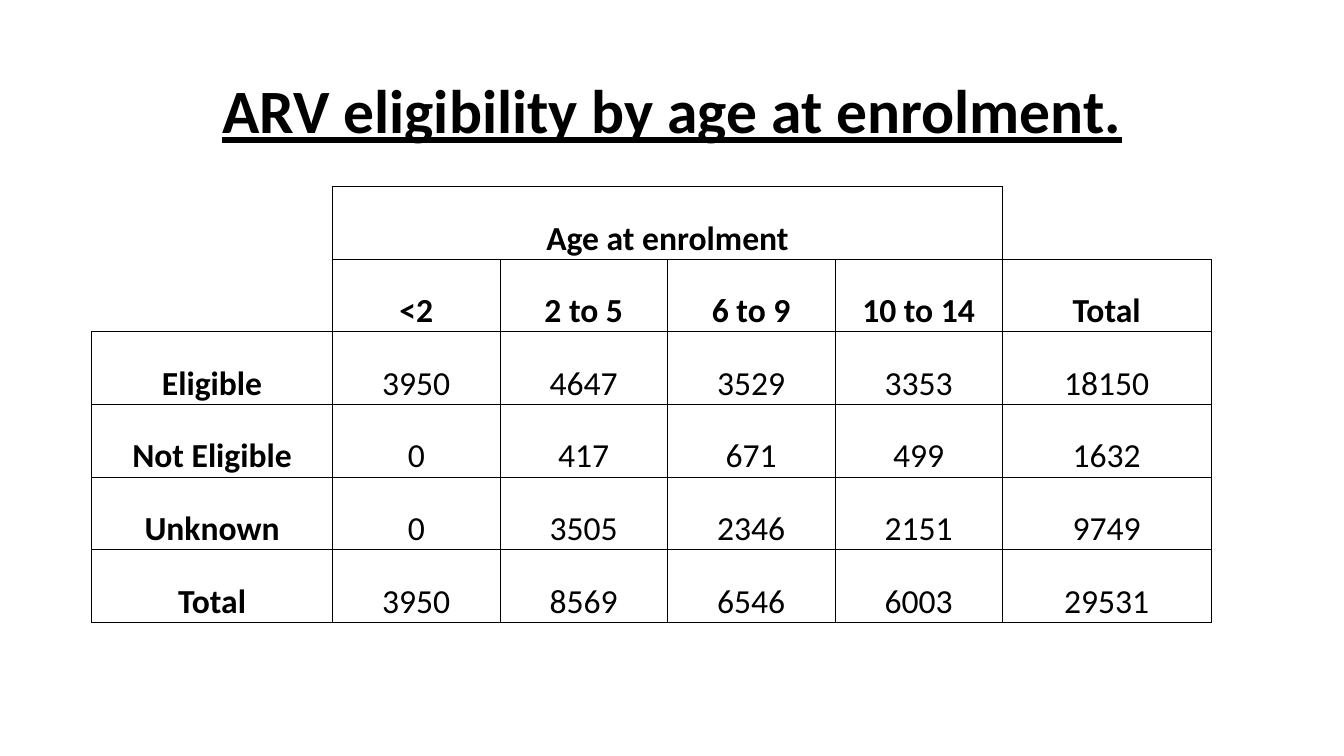
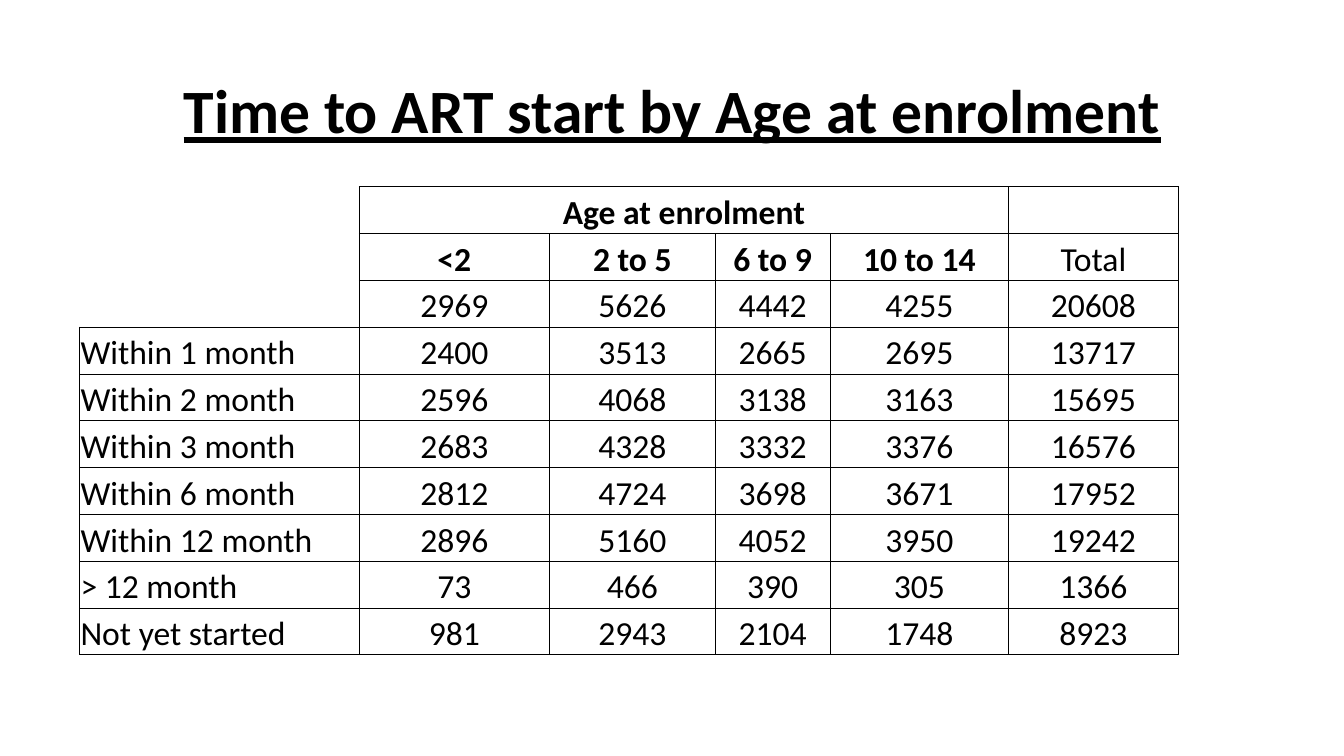
"""Build two slides with tables of treatment eligibility and start by age at enrolment."""
from lxml import etree
from pptx import Presentation
from pptx import util as u
from pptx.dml.color import RGBColor
from pptx.enum import text
from pptx.oxml import ns

BLACK = "000000"
FONT = "Calibri"
NO_STYLE = "{2D5ABB26-0587-4C30-8999-92F81FD0307C}"
EDGES = {"lnL": (0, -1), "lnR": (0, 1), "lnT": (-1, 0), "lnB": (1, 0)}
CENTER, LEFT = text.PP_ALIGN.CENTER, text.PP_ALIGN.LEFT
AGES = ["<2", "2 to 5", "6 to 9", "10 to 14"]
HEADER = [["", "Age at enrolment", "", "", "", ""], ["", *AGES, "Total"]]


def write(frame, content, size=24, bold=False, underline=False, align=CENTER, spacing=1.0):
    paragraph = frame.paragraphs[0]
    paragraph.alignment = align
    paragraph.line_spacing = spacing
    paragraph.font.size = u.Pt(size)
    if content:
        run = paragraph.add_run()
        run.text = content
        run.font.name = FONT
        run.font.size = u.Pt(size)
        run.font.bold = bold
        run.font.underline = underline
        run.font.color.rgb = RGBColor.from_string(BLACK)


def add_border(cell, edge, visible):
    line = etree.SubElement(cell._tc.get_or_add_tcPr(), ns.qn(f"a:{edge}"), w=str(u.Pt(0.5)))
    if visible:
        fill = etree.SubElement(line, ns.qn("a:solidFill"))
        etree.SubElement(fill, ns.qn("a:srgbClr"), val=BLACK)
    else:
        etree.SubElement(line, ns.qn("a:noFill"))


tables = [
    {
        "title": "ARV eligibility by age at enrolment.",
        "left": 2.31,
        "widths": [6.07, 4.22, 4.22, 4.22, 4.22, 5.26],
        "row_height": 1.83,
        "bold_labels": True,
        "label_align": CENTER,
        "open_cells": {(0, 0), (1, 0), (0, 5)},
        "rows": [
            ["Eligible", 3950, 4647, 3529, 3353, 18150],
            ["Not Eligible", 0, 417, 671, 499, 1632],
            ["Unknown", 0, 3505, 2346, 2151, 9749],
            ["Total", 3950, 8569, 6546, 6003, 29531],
        ],
    },
    {
        "title": "Time to ART start by Age at enrolment",
        "left": 2.01,
        "widths": [7.04, 4.8, 4.17, 2.9, 4.5, 4.27],
        "row_height": 1.18,
        "bold_labels": False,
        "label_align": LEFT,
        "open_cells": {(0, 0), (1, 0), (2, 0)},
        "rows": [
            ["", 2969, 5626, 4442, 4255, 20608],
            ["Within 1 month", 2400, 3513, 2665, 2695, 13717],
            ["Within 2 month", 2596, 4068, 3138, 3163, 15695],
            ["Within 3 month", 2683, 4328, 3332, 3376, 16576],
            ["Within 6 month", 2812, 4724, 3698, 3671, 17952],
            ["Within 12 month", 2896, 5160, 4052, 3950, 19242],
            ["> 12 month", 73, 466, 390, 305, 1366],
            ["Not yet started", 981, 2943, 2104, 1748, 8923],
        ],
    },
]

presentation = Presentation()
presentation.slide_width, presentation.slide_height = u.Cm(33.87), u.Cm(19.05)

for data in tables:
    slide = presentation.slides.add_slide(presentation.slide_layouts[6])
    title = slide.shapes.add_textbox(u.Cm(2.34), u.Cm(1.02), u.Cm(29.21), u.Cm(3.68))
    title.text_frame.word_wrap = True
    title.text_frame.vertical_anchor = text.MSO_ANCHOR.MIDDLE
    write(title.text_frame, data["title"], size=44, bold=True, underline=True, spacing=0.9)

    rows = HEADER + data["rows"]
    widths, height = data["widths"], data["row_height"]
    shape = slide.shapes.add_table(
        len(rows), len(widths), u.Cm(data["left"]), u.Cm(4.7),
        u.Cm(sum(widths)), u.Cm(height * len(rows)))
    table = shape.table
    table.first_row = table.horz_banding = False
    table._tbl.tblPr.find(ns.qn("a:tableStyleId")).text = NO_STYLE
    for column, width in zip(table.columns, widths):
        column.width = u.Cm(width)
    for row in table.rows:
        row.height = u.Cm(height)
    table.cell(0, 1).merge(table.cell(0, len(AGES)))

    boxed = {(r, c) for r in range(len(rows)) for c in range(len(widths))} - data["open_cells"]
    for r, values in enumerate(rows):
        for c, value in enumerate(values):
            cell = table.cell(r, c)
            for edge, (down, right) in EDGES.items():
                add_border(cell, edge, bool({(r, c), (r + down, c + right)} & boxed))
            cell.fill.background()
            cell.margin_left = cell.margin_right = cell.margin_top = u.Cm(0.02)
            cell.margin_bottom = 0
            cell.vertical_anchor = text.MSO_ANCHOR.BOTTOM
            is_age_header = r < len(HEADER) and 1 <= c <= len(AGES)
            is_label = c == 0 or r < len(HEADER)
            write(cell.text_frame, str(value),
                  bold=is_age_header or (is_label and data["bold_labels"]),
                  align=data["label_align"] if c == 0 else CENTER)

presentation.save("out.pptx")
